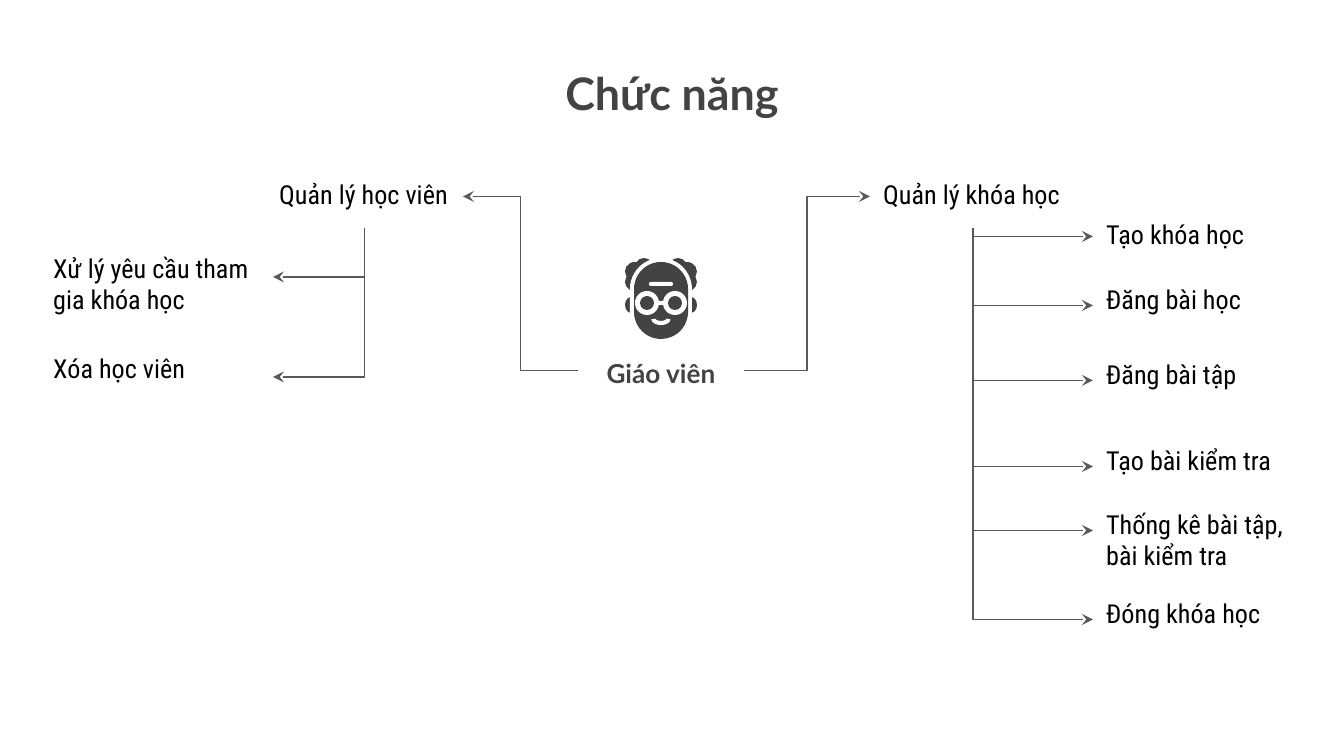
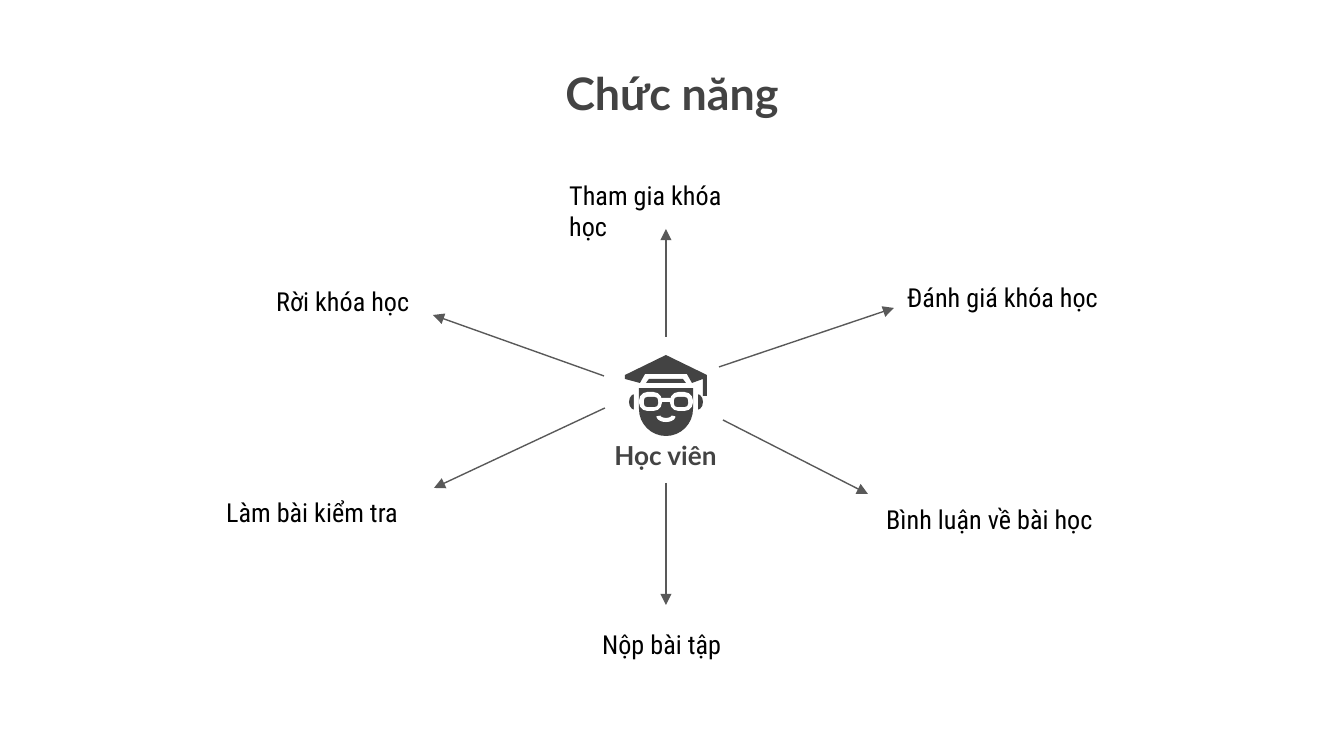
import math
from dataclasses import dataclass

import lxml.etree
import pptx
import pptx.dml.color
import pptx.enum.shapes
import pptx.enum.text
import pptx.oxml.ns
import pptx.util

SHAPE = pptx.enum.shapes.MSO_SHAPE
CONNECTOR = pptx.enum.shapes.MSO_CONNECTOR
ANCHOR = pptx.enum.text.MSO_ANCHOR
ALIGN = pptx.enum.text.PP_ALIGN
TOP, LEFT, BOTTOM, RIGHT = range(4)  # connection sites of a rectangle

EMU_PER_PX = 914400 / 134.4


@dataclass(frozen=True)
class Theme:
    dark: str = "434343"
    line: str = "595959"
    text: str = "000000"
    paper: str = "FFFFFF"
    heading_font: str = "Lato"
    body_font: str = "Roboto Condensed"
    title_size: int = 24
    label_size: int = 14
    line_width: float = 0.75
    smile_width: float = 2.2


THEME = Theme()


def px(length):
    return pptx.util.Emu(round(length * EMU_PER_PX))


def rgb(value):
    return pptx.dml.color.RGBColor.from_string(value)


def write(shape, text, font, size, color, bold=False, align=ALIGN.LEFT, anchor=ANCHOR.TOP):
    frame = shape.text_frame
    frame.word_wrap = True
    frame.auto_size = pptx.enum.text.MSO_AUTO_SIZE.NONE
    frame.vertical_anchor = anchor
    frame.margin_left = frame.margin_right = pptx.util.Inches(0.1)
    frame.margin_top = frame.margin_bottom = pptx.util.Inches(0.1)
    frame.text = text
    paragraph = frame.paragraphs[0]
    paragraph.alignment = align
    paragraph.font.name = font
    paragraph.font.size = pptx.util.Pt(size)
    paragraph.font.bold = bold
    paragraph.font.color.rgb = rgb(color)


def add_label(slide, text, box):
    label = slide.shapes.add_textbox(*map(px, box))
    write(label, text, THEME.body_font, THEME.label_size, THEME.text)
    return label


def add_role(slide, text, box):
    role = slide.shapes.add_textbox(*map(px, box))
    write(role, text, THEME.heading_font, THEME.label_size, THEME.dark, True, ALIGN.CENTER, ANCHOR.BOTTOM)
    return role


def add_titled_slide(presentation, text):
    slide = presentation.slides.add_slide(presentation.slide_layouts[5])
    slide.background.fill.solid()
    slide.background.fill.fore_color.rgb = rgb(THEME.paper)
    title = slide.shapes.title
    title.left, title.top, title.width, title.height = map(px, (289, 52, 766, 89))
    write(title, text, THEME.heading_font, THEME.title_size, THEME.dark, True, ALIGN.CENTER)
    return slide


def style_arrow(connector, end, kind):
    """Format the line; end is headEnd (start of the line) or tailEnd (its finish)."""
    connector.line.color.rgb = rgb(THEME.line)
    connector.line.width = pptx.util.Pt(THEME.line_width)
    line = connector.line._get_or_add_ln()
    lxml.etree.SubElement(line, pptx.oxml.ns.qn(f"a:{end}"), type=kind)
    lxml.etree.SubElement(connector._element.spPr, pptx.oxml.ns.qn("a:effectLst"))


def connect(slide, start, start_site, finish, finish_site):
    connector = slide.shapes.add_connector(CONNECTOR.ELBOW, 0, 0, 0, 0)
    connector.begin_connect(start, start_site)
    connector.end_connect(finish, finish_site)
    return connector


def add_branch(slide, parent, items, site):
    """Join each item, from its given side, to the bottom of the parent by one corner."""
    for text, box in items:
        connector = connect(slide, add_label(slide, text, box), site, parent, BOTTOM)
        geometry = connector._element.spPr.find(pptx.oxml.ns.qn("a:prstGeom"))
        geometry.set("prst", "bentConnector2")
        style_arrow(connector, "headEnd", "stealth")


class Icon:
    """A group of shapes, symmetric about a vertical axis, at a given place."""

    def __init__(self, slide, left, top, axis):
        self.shapes = slide.shapes.add_group_shape().shapes
        self.left, self.top, self.axis = left, top, axis

    def single(self, kind, x, y, width, height, color=THEME.dark, rounding=None):
        shape = self.shapes.add_shape(kind, px(self.left + x), px(self.top + y), px(width), px(height))
        if rounding is not None:
            shape.adjustments[0] = rounding
        self.paint(shape, color)

    def pair(self, kind, x, y, width, height, *style):
        for left in (x, 2 * self.axis - x - width):
            self.single(kind, left, y, width, height, *style)

    def freeform(self, points, close=True):
        points = [(px(x), px(y)) for x, y in points]
        builder = self.shapes.build_freeform(*points[0], scale=1.0)
        builder.add_line_segments(points[1:], close=close)
        return builder.convert_to_shape(px(self.left), px(self.top))

    def outline(self, points):
        self.paint(self.freeform(points), THEME.dark)

    def arc(self, y, width, height):
        """Points of the lower half of an ellipse, from right to left."""
        angles = [math.pi * step / 16 for step in range(17)]
        return [(self.axis + width / 2 * math.cos(a), y + height * math.sin(a)) for a in angles]

    def smile(self, y):
        shape = self.freeform(self.arc(y, 15, 4), close=False)
        shape.shadow.inherit = False
        shape.fill.background()
        shape.line.color.rgb = rgb(THEME.paper)
        shape.line.width = pptx.util.Pt(THEME.smile_width)

    @staticmethod
    def paint(shape, color):
        shape.shadow.inherit = False
        shape.fill.solid()
        shape.fill.fore_color.rgb = rgb(color)
        shape.line.fill.background()


def add_teacher_icon(slide, left, top):
    icon = Icon(slide, left, top, axis=36)
    for hair_or_ear in ((10, 0, 18, 18), (0, 4, 20, 19), (0, 15, 18, 18), (0, 39, 12, 16)):
        icon.pair(SHAPE.OVAL, *hair_or_ear)
    icon.single(SHAPE.ROUNDED_RECTANGLE, 5, 0, 62, 84, THEME.paper, 0.5)
    icon.single(SHAPE.ROUNDED_RECTANGLE, 9, 4, 54, 77, THEME.dark, 0.5)
    icon.single(SHAPE.ROUNDED_RECTANGLE, 24, 24, 24, 4, THEME.paper, 0.5)
    icon.pair(SHAPE.OVAL, 10, 33, 24, 24, THEME.paper)
    icon.pair(SHAPE.OVAL, 15, 38, 14, 14)
    icon.single(SHAPE.RECTANGLE, 33, 43, 6, 4, THEME.paper)
    icon.smile(61)


def add_student_icon(slide, left, top):
    icon = Icon(slide, left, top, axis=41)
    icon.outline([(41, 0), (0, 20), (0, 24), (15, 28), (20, 19), (62, 19), (67, 28),
                  (78, 24), (78, 41), (82, 41), (82, 20)])
    icon.outline([(24, 24), (58, 24), (61, 28), (21, 28)])
    icon.pair(SHAPE.OVAL, 4, 39, 12, 16)
    icon.single(SHAPE.RECTANGLE, 9, 33, 64, 24, THEME.paper)
    icon.outline([(14, 33), (68, 33)] + icon.arc(54, 54, 27))
    icon.pair(SHAPE.ROUNDED_RECTANGLE, 14, 37, 23, 19, THEME.paper, 0.45)
    icon.pair(SHAPE.ROUNDED_RECTANGLE, 19, 42, 14, 10, THEME.dark, 0.35)
    icon.single(SHAPE.RECTANGLE, 36, 43, 10, 4, THEME.paper)
    icon.smile(61)


def build_teacher_slide(presentation):
    slide = add_titled_slide(presentation, "Chức năng")
    teacher = add_role(slide, "Giáo viên", (578, 339, 166, 63))
    add_teacher_icon(slide, 625, 258)
    students = add_label(slide, "Quản lý học viên", (266, 165, 197, 63))
    courses = add_label(slide, "Quản lý khóa học", (870, 165, 206, 63))
    for label, near, far in ((students, LEFT, RIGHT), (courses, RIGHT, LEFT)):
        style_arrow(connect(slide, teacher, near, label, far), "tailEnd", "stealth")

    student_tasks = (("Xử lý yêu cầu tham gia khóa học", 239), ("Xóa học viên", 339))
    add_branch(slide, students, [(text, (40, top, 233, 76)) for text, top in student_tasks], RIGHT)
    course_tasks = (
        ("Tạo khóa học", 205, 63),
        ("Đăng bài học", 270, 71),
        ("Đăng bài tập", 345, 71),
        ("Tạo bài kiểm tra", 431, 71),
        ("Thống kê bài tập, bài kiểm tra", 495, 71),
        ("Đóng khóa học", 584, 71),
    )
    add_branch(slide, courses, [(text, (1093, top, 234, height)) for text, top, height in course_tasks], LEFT)


def build_student_slide(presentation):
    slide = add_titled_slide(presentation, "Chức năng")
    add_role(slide, "Học viên", (596, 421, 139, 63))
    add_student_icon(slide, 625, 355)
    tasks = (  # text, label box, arrow start, arrow finish
        ("Tham gia khóa học", (556, 166, 221, 63), (666, 337), (666, 229)),
        ("Nộp bài tập", (589, 615, 222, 82), (666, 483), (666, 605)),
        ("Làm bài kiểm tra", (213, 483, 222, 82), (605, 408), (434, 488)),
        ("Đánh giá khóa học", (894, 268, 222, 82), (719, 367), (894, 308)),
        ("Bình luận về bài học", (873, 490, 278, 82), (723, 420), (868, 494)),
        ("Rời khóa học", (263, 272, 222, 81), (604, 376), (433, 315)),
    )
    for text, box, start, finish in tasks:
        add_label(slide, text, box)
        arrow = slide.shapes.add_connector(CONNECTOR.STRAIGHT, *map(px, start + finish))
        style_arrow(arrow, "tailEnd", "triangle")


def main():
    presentation = pptx.Presentation()
    presentation.slide_width, presentation.slide_height = px(1344), px(756)
    build_teacher_slide(presentation)
    build_student_slide(presentation)
    presentation.save("out.pptx")


if __name__ == "__main__":
    main()
